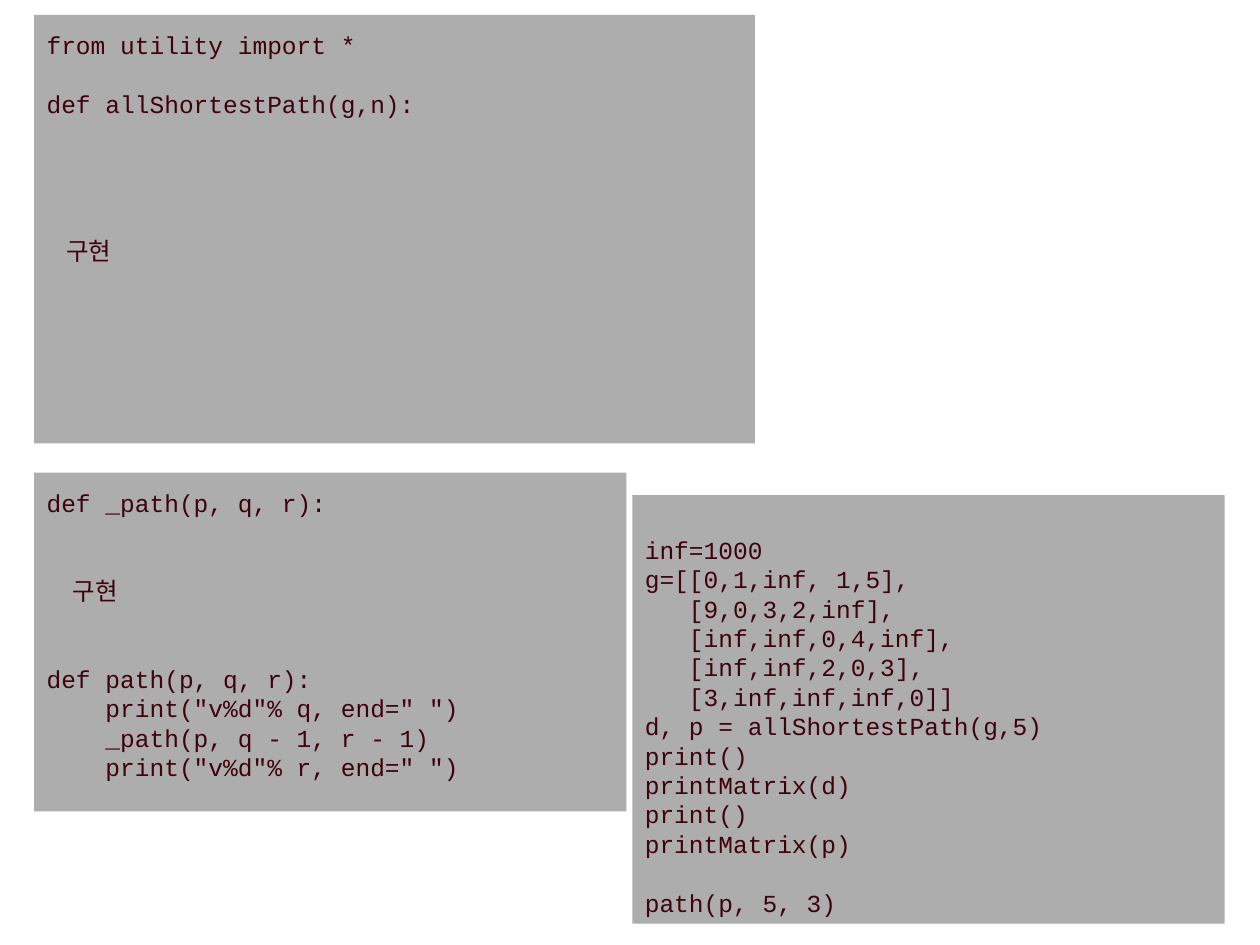
from dataclasses import dataclass
from typing import Any

from pptx import Presentation
from pptx.dml.color import RGBColor
from pptx.enum.shapes import MSO_SHAPE
from pptx.enum.text import MSO_ANCHOR, MSO_AUTO_SIZE, PP_ALIGN
from pptx.util import Cm, Pt

PITCH = 16.8
INSET = 0.3


@dataclass
class Line:
    text: str
    gap: int = 0
    pad: float = 0


@dataclass
class Panel:
    left: float
    top: float
    width: float
    height: float
    lines: list[Line]
    inset: float = INSET


def color(code: str) -> RGBColor:
    return RGBColor.from_string(code)


def apply(target: Any, values: dict[str, Any]) -> None:
    for name, value in values.items():
        setattr(target, name, value)


FRAME = {
    "word_wrap": True,
    "auto_size": MSO_AUTO_SIZE.NONE,
    "vertical_anchor": MSO_ANCHOR.TOP,
    "margin_left": Cm(0.25),
    "margin_right": Cm(0.25),
    "margin_bottom": Cm(0.13),
}
FONT = {"name": "Courier New", "size": Pt(14)}
PARA = {"alignment": PP_ALIGN.LEFT, "line_spacing": Pt(PITCH)}


def code(text: str) -> list[Line]:
    return [Line(row) for row in text.split("\n")]


def draw(slide: Any, panel: Panel) -> None:
    sides = (panel.left, panel.top, panel.width, panel.height)
    shape = slide.shapes.add_shape(MSO_SHAPE.RECTANGLE, *map(Cm, sides))
    shape.shadow.inherit = False
    shape.fill.solid()
    shape.fill.fore_color.rgb = color("ADADAD")
    shape.line.fill.background()
    frame = shape.text_frame
    apply(frame, FRAME | {"margin_top": Cm(panel.inset)})
    for index, line in enumerate(panel.lines):
        para = frame.add_paragraph() if index else frame.paragraphs[0]
        apply(para, PARA)
        if line.gap:
            para.space_before = Pt(line.gap * PITCH)
        if line.pad:
            para._p.get_or_add_pPr().set("marL", str(Cm(line.pad)))
        run = para.add_run()
        run.text = line.text
        apply(run.font, FONT)
        run.font.color.rgb = color("3E020C")


SEARCH = [
    Line("from utility import *"),
    Line("def allShortestPath(g,n):", gap=1),
    Line("구현", gap=4, pad=0.4),
]
ROUTE = [
    Line("def _path(p, q, r):"),
    Line("구현", gap=2, pad=0.53),
    Line("def path(p, q, r):", gap=2),
    *code('''    print("v%d"% q, end=" ")
    _path(p, q - 1, r - 1)
    print("v%d"% r, end=" ")'''),
]
TEST = [
    *code("""inf=1000
g=[[0,1,inf, 1,5],
   [9,0,3,2,inf],
   [inf,inf,0,4,inf],
   [inf,inf,2,0,3],
   [3,inf,inf,inf,0]]
d, p = allShortestPath(g,5)
print()
printMatrix(d)
print()
printMatrix(p)"""),
    Line("path(p, 5, 3)", gap=1),
]
PANELS = [
    Panel(0.69, 0.3, 14.53, 8.64, SEARCH),
    Panel(0.69, 9.53, 11.94, 6.83, ROUTE),
    Panel(12.75, 9.98, 11.94, 8.64, TEST, inset=0.8),
]


def main() -> None:
    deck = Presentation()
    apply(deck, {"slide_width": Cm(25.4), "slide_height": Cm(19.05)})
    slide = deck.slides.add_slide(deck.slide_layouts[6])
    for panel in PANELS:
        draw(slide, panel)
    deck.save("out.pptx")


if __name__ == "__main__":
    main()
